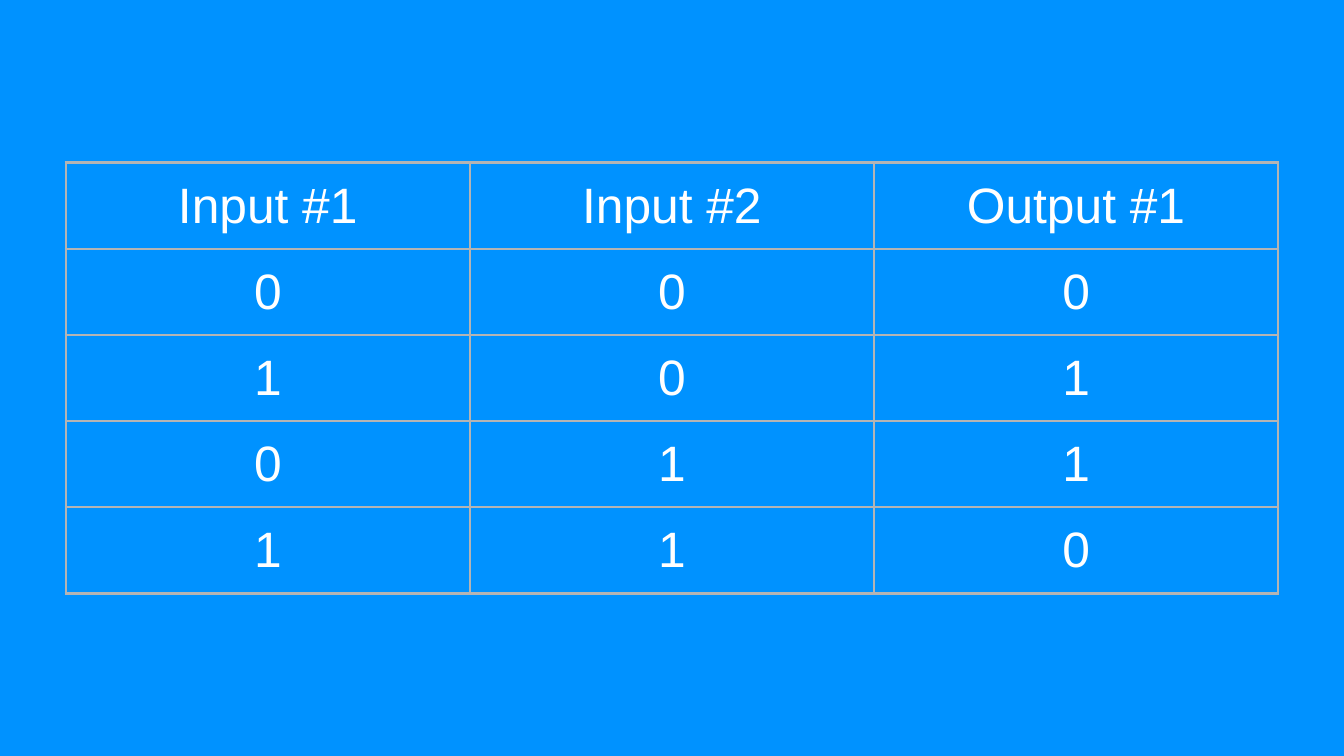
import pptx
import pptx.dml.color
import pptx.enum.text
import pptx.oxml
import pptx.oxml.ns
import pptx.util
from pptx.util import Cm

BLUE = pptx.dml.color.RGBColor(0x00, 0x92, 0xFF)
GREY = pptx.dml.color.RGBColor(0xB4, 0xB4, 0xB4)
WHITE = pptx.dml.color.RGBColor(0xFF, 0xFF, 0xFF)

SLIDE_WIDTH, SLIDE_HEIGHT = Cm(67.74), Cm(38.1)
COLUMN_WIDTH, ROW_HEIGHT = Cm(20.37), Cm(4.34)
CELL_MARGIN = Cm(0.15)
BORDER_WIDTH = pptx.util.Pt(4)

TRUTH_TABLE = [
    ("Input #1", "Input #2", "Output #1"),
    ("0", "0", "0"),
    ("1", "0", "1"),
    ("0", "1", "1"),
    ("1", "1", "0"),
]


def write_text(text_frame, text, *, size=71, font="Arial", color=WHITE,
               alignment=pptx.enum.text.PP_ALIGN.CENTER):
    paragraph = text_frame.paragraphs[0]
    paragraph.alignment = alignment
    run = paragraph.add_run()
    run.text = text
    run.font.size = pptx.util.Pt(size)
    run.font.name = font
    run.font.bold = False
    run.font.color.rgb = color


def set_borders(cell, color, width):
    properties = cell._tc.get_or_add_tcPr()
    namespace = pptx.oxml.ns.nsdecls("a")
    for position, side in enumerate(("lnL", "lnR", "lnT", "lnB")):
        border = pptx.oxml.parse_xml(
            f'<a:{side} {namespace} w="{width}"><a:solidFill>'
            f'<a:srgbClr val="{color}"/></a:solidFill></a:{side}>'
        )
        properties.insert(position, border)


def format_cell(cell, text):
    cell.fill.background()
    cell.vertical_anchor = pptx.enum.text.MSO_ANCHOR.MIDDLE
    cell.margin_left = cell.margin_right = CELL_MARGIN
    cell.margin_top = cell.margin_bottom = CELL_MARGIN
    write_text(cell.text_frame, text)
    set_borders(cell, GREY, BORDER_WIDTH)


def add_centred_table(slide, rows):
    width = COLUMN_WIDTH * len(rows[0])
    height = ROW_HEIGHT * len(rows)
    left = (SLIDE_WIDTH - width) // 2
    top = (SLIDE_HEIGHT - height) // 2
    table = slide.shapes.add_table(
        len(rows), len(rows[0]), left, top, width, height
    ).table
    table.first_row = False
    table.horz_banding = False
    for row_index, row in enumerate(rows):
        for column_index, text in enumerate(row):
            format_cell(table.cell(row_index, column_index), text)


def main():
    presentation = pptx.Presentation()
    presentation.slide_width = SLIDE_WIDTH
    presentation.slide_height = SLIDE_HEIGHT
    slide = presentation.slides.add_slide(presentation.slide_layouts[6])
    slide.background.fill.solid()
    slide.background.fill.fore_color.rgb = BLUE
    add_centred_table(slide, TRUTH_TABLE)
    presentation.save("out.pptx")


if __name__ == "__main__":
    main()
